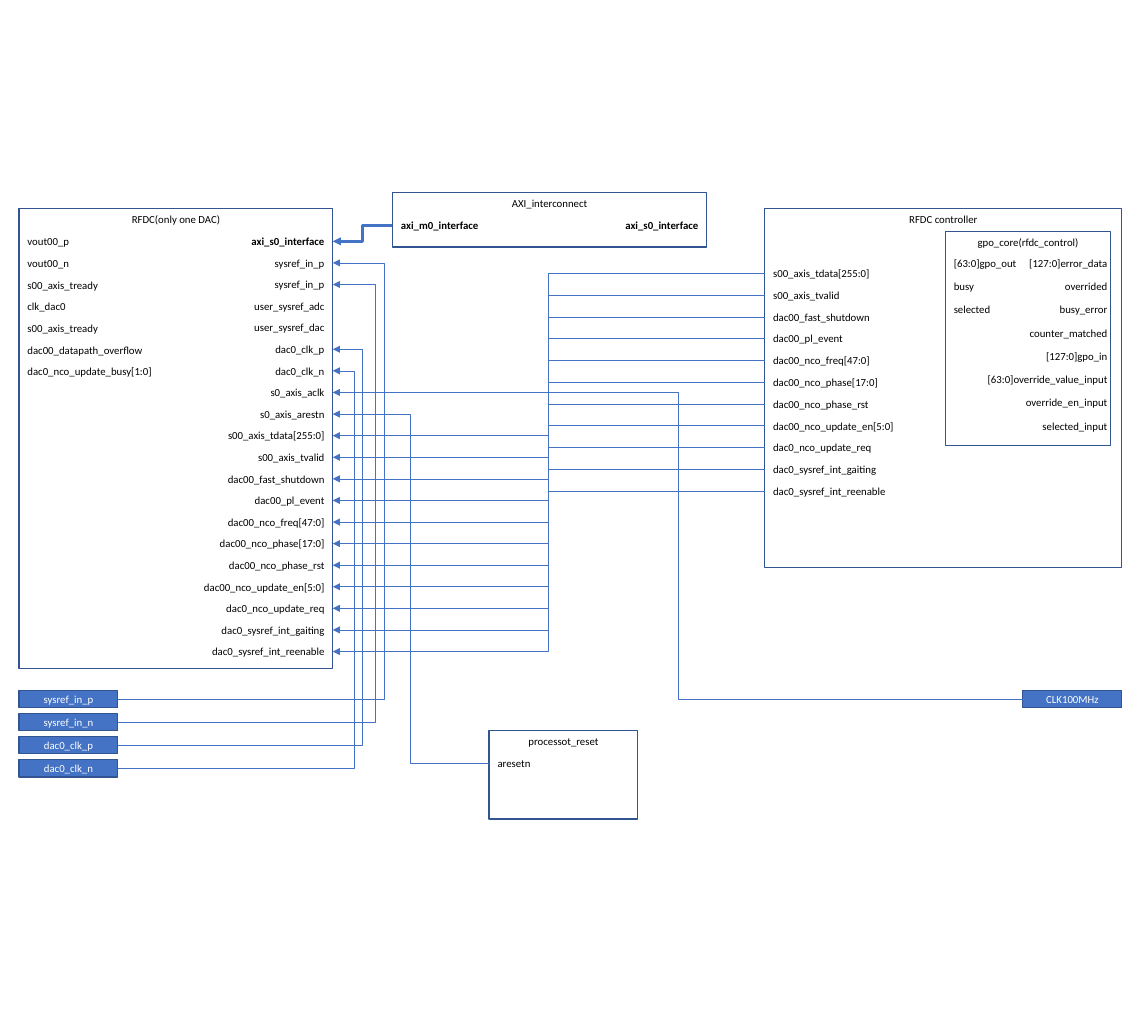
from dataclasses import dataclass

from lxml import etree
from pptx import Presentation
from pptx import util as u
from pptx.dml.color import RGBColor
from pptx.enum import shapes, text
from pptx.oxml.ns import qn

BLUE = RGBColor(0x44, 0x72, 0xC4)
NAVY = RGBColor(0x32, 0x54, 0x91)
BLACK = RGBColor(0, 0, 0)
WHITE = RGBColor(0xFF, 0xFF, 0xFF)

LABEL_H = 0.64
PAD_W, PAD_H = 2.92, 0.51
LEFT, CENTER, RIGHT = text.PP_ALIGN.LEFT, text.PP_ALIGN.CENTER, text.PP_ALIGN.RIGHT
TOP, MIDDLE = text.MSO_ANCHOR.TOP, text.MSO_ANCHOR.MIDDLE


@dataclass
class Box:
    """Outlined rectangle, lengths in cm."""
    label: str
    x: float
    y: float
    w: float
    h: float

    @property
    def right(self) -> float:
        return self.x + self.w

    @property
    def middle(self) -> float:
        return self.y + self.h / 2


@dataclass
class Ports:
    """Evenly spaced port names, flush with x at the aligned side."""
    names: list[str]
    x: float
    first: float
    last: float
    width: float
    align: text.PP_ALIGN

    def y(self, row: int) -> float:
        return self.first + row * (self.last - self.first) / max(len(self.names) - 1, 1)


# Blocks and pads
GPO = Box("gpo_core(rfdc_control)", 27.89, 6.83, 4.88, 6.32)
AXI = Box("AXI_interconnect", 11.58, 5.69, 9.27, 1.6)
RFDC = Box("RFDC(only one DAC)", 0.56, 6.15, 9.26, 13.56)
CONTROLLER = Box("RFDC controller", 22.56, 6.15, 10.54, 10.59)
RESET = Box("processot_reset", 14.43, 21.54, 4.39, 2.62)
BLOCKS = [GPO, AXI, RFDC, CONTROLLER, RESET]

INPUTS = [Box(name, RFDC.x, 20.37 + 0.68 * i, PAD_W, PAD_H) for i, name in
          enumerate(["sysref_in_p", "sysref_in_n", "dac0_clk_p", "dac0_clk_n"])]
CLOCK = Box("CLK100MHz", CONTROLLER.right - PAD_W, 20.37, PAD_W, PAD_H)

# Port columns
DAC_SIGNALS = [
    "s00_axis_tdata[255:0]", "s00_axis_tvalid", "dac00_fast_shutdown", "dac00_pl_event",
    "dac00_nco_freq[47:0]", "dac00_nco_phase[17:0]", "dac00_nco_phase_rst",
    "dac00_nco_update_en[5:0]", "dac0_nco_update_req", "dac0_sysref_int_gaiting",
    "dac0_sysref_int_reenable",
]
RFDC_INPUTS = [
    "axi_s0_interface", "sysref_in_p", "sysref_in_p", "user_sysref_adc", "user_sysref_dac",
    "dac0_clk_p", "dac0_clk_n", "s0_axis_aclk", "s0_axis_arestn",
]
RFDC_OUTPUTS = [
    "vout00_p", "vout00_n", "s00_axis_tready", "clk_dac0", "s00_axis_tready",
    "dac00_datapath_overflow", "dac0_nco_update_busy[1:0]",
]
GPO_RIGHT = [
    "[127:0]error_data", "overrided", "busy_error", "counter_matched", "[127:0]gpo_in",
    "[63:0]override_value_input", "override_en_input", "selected_input",
]
gpo_left = Ports(["[63:0]gpo_out", "busy", "selected"], GPO.x, 7.76, 9.13, 3.63, LEFT)
gpo_right = Ports(GPO_RIGHT, GPO.right + 0.15, 7.76, 12.56, 4.37, RIGHT)
axi_master = Ports(["axi_m0_interface"], AXI.x, 6.65, 6.65, 3.5, LEFT)
axi_slave = Ports(["axi_s0_interface"], AXI.right, 6.65, 6.65, 3.23, RIGHT)
rfdc_out = Ports(RFDC_OUTPUTS, RFDC.x, 7.12, 10.96, 4.62, LEFT)
rfdc_in = Ports(RFDC_INPUTS + DAC_SIGNALS, RFDC.right, 7.12, 19.22, 4.39, RIGHT)
control_out = Ports(DAC_SIGNALS, CONTROLLER.x, 8.06, 14.49, 4.39, LEFT)
reset_out = Ports(["aresetn"], RESET.x, 22.52, 22.52, 3.5, LEFT)
COLUMNS = [gpo_left, gpo_right, axi_master, axi_slave, rfdc_out, rfdc_in,
           control_out, reset_out]


def write(sp, words: str, align, anchor, color: RGBColor = BLACK) -> None:
    tf = sp.text_frame
    tf.text = words
    tf.word_wrap = True
    tf.vertical_anchor = anchor
    p = tf.paragraphs[0]
    p.alignment = align
    font = p.runs[0].font
    font.name, font.size, font.bold = "Calibri", u.Pt(9), words.startswith("axi_")
    font.color.rgb = color


def draw_box(s, box: Box, filled: bool = False) -> None:
    sp = s.shapes.add_shape(shapes.MSO_SHAPE.RECTANGLE,
                            u.Cm(box.x), u.Cm(box.y), u.Cm(box.w), u.Cm(box.h))
    sp.shadow.inherit = False
    sp.line.color.rgb = NAVY
    sp.line.width = u.Pt(1)
    if filled:
        sp.fill.solid()
        sp.fill.fore_color.rgb = BLUE
        write(sp, box.label, CENTER, MIDDLE, WHITE)
    else:
        sp.fill.background()
        write(sp, box.label, CENTER, TOP)


def draw_ports(s, ports: Ports) -> None:
    left = ports.x - ports.width if ports.align == RIGHT else ports.x
    for row, name in enumerate(ports.names):
        sp = s.shapes.add_textbox(u.Cm(left), u.Cm(ports.y(row) - LABEL_H / 2),
                                  u.Cm(ports.width), u.Cm(LABEL_H))
        write(sp, name, ports.align, MIDDLE)


def draw_wire(s, x: float, y: float, row: int, trunk: float, width: float = 0.5) -> None:
    """Elbow arrow from (x, y) through a vertical trunk to an RFDC input row."""
    end = RFDC.right
    c = s.shapes.add_connector(shapes.MSO_CONNECTOR.ELBOW, u.Cm(x), u.Cm(y),
                               u.Cm(end), u.Cm(rfdc_in.y(row)))
    c.line.color.rgb = BLUE
    c.line.width = u.Pt(width)
    sp_pr = c._element.spPr
    guides = sp_pr.find(qn("a:prstGeom")).find(qn("a:avLst"))
    bend = round((trunk - x) / (end - x) * 100000)
    etree.SubElement(guides, qn("a:gd"), name="adj1", fmla=f"val {bend}")
    etree.SubElement(sp_pr.find(qn("a:ln")), qn("a:tailEnd"), type="triangle")
    etree.SubElement(sp_pr, qn("a:effectLst"))


def main() -> None:
    prs = Presentation()
    prs.slide_width, prs.slide_height = u.Cm(33.87), u.Cm(30)
    s = prs.slides.add_slide(prs.slide_layouts[6])

    for block in BLOCKS:
        draw_box(s, block)
    for column in COLUMNS:
        draw_ports(s, column)
    for pad in INPUTS + [CLOCK]:
        draw_box(s, pad, filled=True)

    # Bus, board inputs, clock and reset
    draw_wire(s, AXI.x, axi_master.y(0), 0, 10.69, 2.25)
    for pad, row, trunk in zip(INPUTS, [1, 2, 5, 6], [11.35, 11.07, 10.69, 10.44]):
        draw_wire(s, pad.right, pad.middle, row, trunk)
    draw_wire(s, CLOCK.x, CLOCK.middle, 7, 19.99)
    draw_wire(s, RESET.x, reset_out.y(0), 8, 12.12)

    # Controller signals share one trunk
    for i in range(len(DAC_SIGNALS)):
        draw_wire(s, CONTROLLER.x, control_out.y(i), len(RFDC_INPUTS) + i, 16.18)

    prs.save("out.pptx")


if __name__ == "__main__":
    main()
